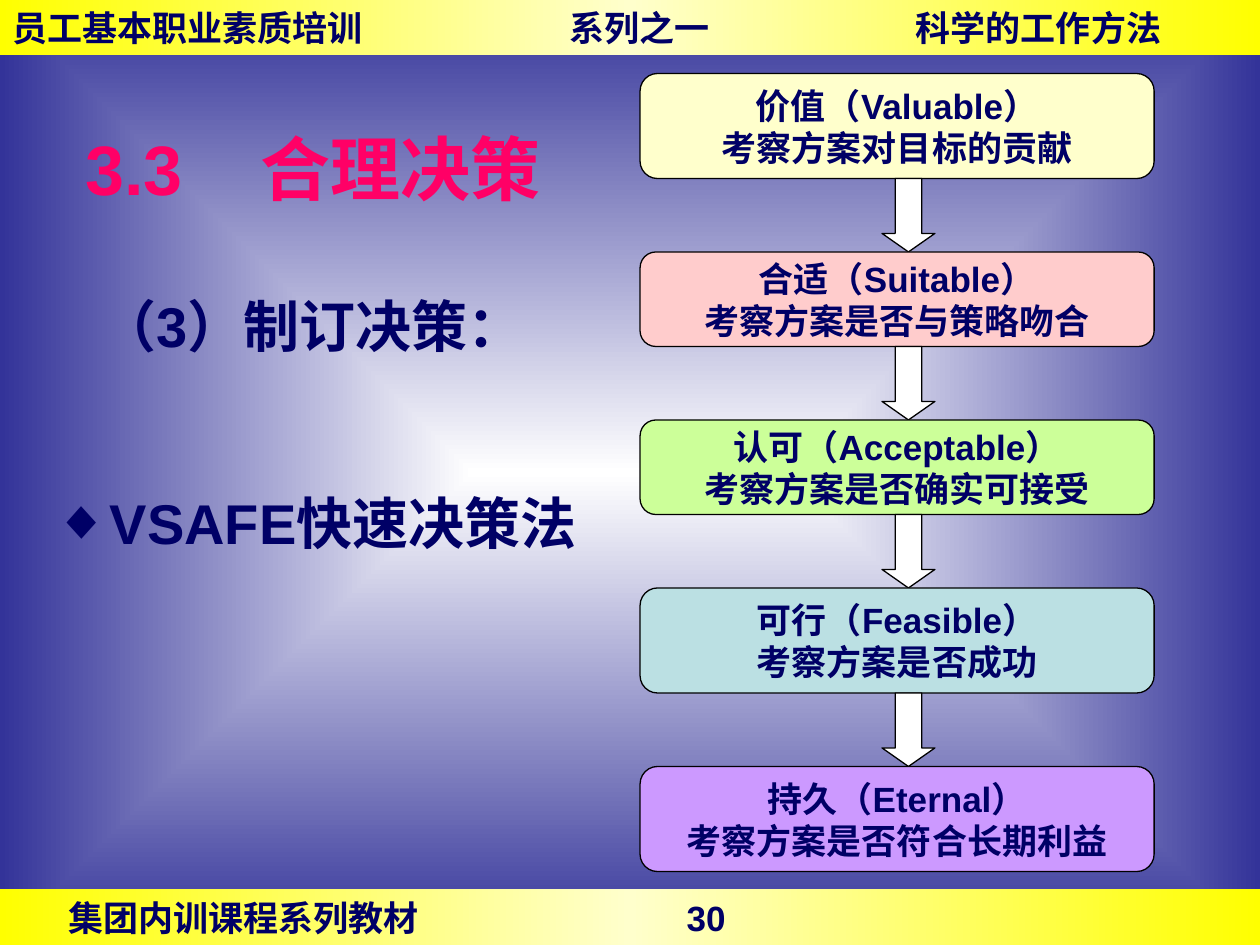
from dataclasses import dataclass

from lxml import etree
from pptx import Presentation
from pptx import util as u
from pptx.dml.color import RGBColor
from pptx.enum import shapes, text
from pptx.oxml.ns import qn


@dataclass(frozen=True)
class Theme:
    font: str = "Arial"
    ink: str = "000066"
    accent: str = "FF0066"
    line: str = "000000"
    arrow: str = "FFFFFF"
    glow: tuple = ((0, "FFFFFF"), (100, "333399"))
    band: tuple = ((0, "FFFF00"), (50, "FFFFCC"), (100, "FFFF00"))
    title: int = 40
    body: int = 32
    label: int = 20


class Deck:
    def __init__(self, theme):
        self.t = theme
        self.prs = Presentation()
        self.prs.slide_width = u.Inches(10)
        self.prs.slide_height = u.Inches(7.5)
        self.s = self.prs.slides.add_slide(self.prs.slide_layouts[6])

    def gradient(self, fill, parent, stops, radial=False):
        fill.gradient()
        grad = parent.find(".//" + qn("a:gradFill"))
        for child in list(grad):
            grad.remove(child)
        gs_list = etree.SubElement(grad, qn("a:gsLst"))
        for pos, color in stops:
            gs = etree.SubElement(gs_list, qn("a:gs"), pos=str(pos * 1000))
            etree.SubElement(gs, qn("a:srgbClr"), val=color)
        if radial:
            area = etree.SubElement(grad, qn("a:path"), {"path": "rect"})
            etree.SubElement(area, qn("a:fillToRect"), dict.fromkeys("ltrb", "50000"))
        else:
            etree.SubElement(grad, qn("a:lin"), ang="10800000", scaled="1")

    def background(self):
        self.gradient(self.s.background.fill, self.s._element, self.t.glow, radial=True)

    def add_text(self, p, words, size, color=None):
        r = p.add_run()
        r.text = words
        r.font.name = self.t.font
        r.font.size = u.Pt(size)
        r.font.bold = True
        r.font.color.rgb = RGBColor.from_string(color or self.t.ink)

    def tabs(self, p, stops):
        tab_list = etree.SubElement(p._p.get_or_add_pPr(), qn("a:tabLst"))
        for stop in stops:
            etree.SubElement(tab_list, qn("a:tab"), pos=str(u.Inches(stop)), algn="l")

    def shape(self, kind, x, y, w, h, fill=None):
        sp = self.s.shapes.add_shape(kind, *map(u.Inches, (x, y, w, h)))
        sp.shadow.inherit = False
        if fill:
            sp.fill.solid()
            sp.fill.fore_color.rgb = RGBColor.from_string(fill)
            sp.line.color.rgb = RGBColor.from_string(self.t.line)
            sp.line.width = u.Pt(0.75)
        else:
            sp.line.fill.background()
        return sp

    def band(self, y, words, inset, stops):
        sp = self.shape(shapes.MSO_SHAPE.RECTANGLE, 0, y, 10, 0.44)
        self.gradient(sp.fill, sp._element.spPr, self.t.band)
        tf = sp.text_frame
        tf.vertical_anchor = text.MSO_ANCHOR.MIDDLE
        tf.margin_left = u.Inches(inset)
        p = tf.paragraphs[0]
        p.alignment = text.PP_ALIGN.LEFT
        self.tabs(p, stops)
        self.add_text(p, words, self.t.label)

    def textbox(self, x, y, w, h):
        tf = self.s.shapes.add_textbox(*map(u.Inches, (x, y, w, h))).text_frame
        tf.word_wrap = True
        return tf

    def title(self, words):
        tf = self.textbox(0.58, 1.08, 4.75, 0.5)
        tf.vertical_anchor = text.MSO_ANCHOR.MIDDLE
        p = tf.paragraphs[0]
        self.tabs(p, [1.39])
        self.add_text(p, words, self.t.title, self.t.accent)

    def body(self, heading, point):
        tf = self.textbox(0.33, 2, 4.5, 2.5)
        p = tf.paragraphs[0]
        p.line_spacing = 1.5
        p._p.get_or_add_pPr().set("marL", str(u.Inches(0.37)))
        self.add_text(p, heading, self.t.body)
        p = tf.add_paragraph()
        p.line_spacing = 1.5
        p.space_before = u.Pt(55)
        pPr = p._p.get_or_add_pPr()
        pPr.set("marL", str(u.Inches(0.44)))
        pPr.set("indent", str(-u.Inches(0.44)))
        etree.SubElement(pPr, qn("a:buFont"), typeface=self.t.font)
        etree.SubElement(pPr, qn("a:buChar"), char="◆")
        self.add_text(p, point, self.t.body)

    def step(self, y, h, fill, lines):
        sp = self.shape(shapes.MSO_SHAPE.ROUNDED_RECTANGLE, 5.08, y, 4.08, h, fill)
        tf = sp.text_frame
        tf.vertical_anchor = text.MSO_ANCHOR.MIDDLE
        for i, line in enumerate(lines):
            p = tf.add_paragraph() if i else tf.paragraphs[0]
            p.alignment = text.PP_ALIGN.CENTER
            self.add_text(p, line, self.t.label)

    def arrow(self, y, h):
        sp = self.shape(shapes.MSO_SHAPE.DOWN_ARROW, 7, y, 0.42, h, self.t.arrow)
        sp.adjustments[1] = 0.35


def main():
    deck = Deck(Theme())
    deck.background()
    deck.band(7.06, "集团内训课程系列教材\t30", 0.54, [4.91])
    deck.band(0, "员工基本职业素质培训\t系列之一\t科学的工作方法", 0.1, [4.42, 7.17])
    deck.title("3.3\t合理决策")
    deck.body("（3）制订决策：", "VSAFE快速决策法")

    tall, short, gap = 10 / 12, 9 / 12, 7 / 12
    steps = [
        (tall, "FFFFCC", "价值（Valuable）", "考察方案对目标的贡献"),
        (short, "FFCCCC", "合适（Suitable）", "考察方案是否与策略吻合"),
        (short, "CCFF99", "认可（Acceptable）", "考察方案是否确实可接受"),
        (tall, "BBE0E3", "可行（Feasible）", "考察方案是否成功"),
        (tall, "CC99FF", "持久（Eternal）", "考察方案是否符合长期利益"),
    ]
    y = gap
    for i, (h, fill, *lines) in enumerate(steps):
        if i:
            deck.arrow(y - gap, gap)
        deck.step(y, h, fill, lines)
        y += h + gap

    deck.prs.save("out.pptx")


if __name__ == "__main__":
    main()
